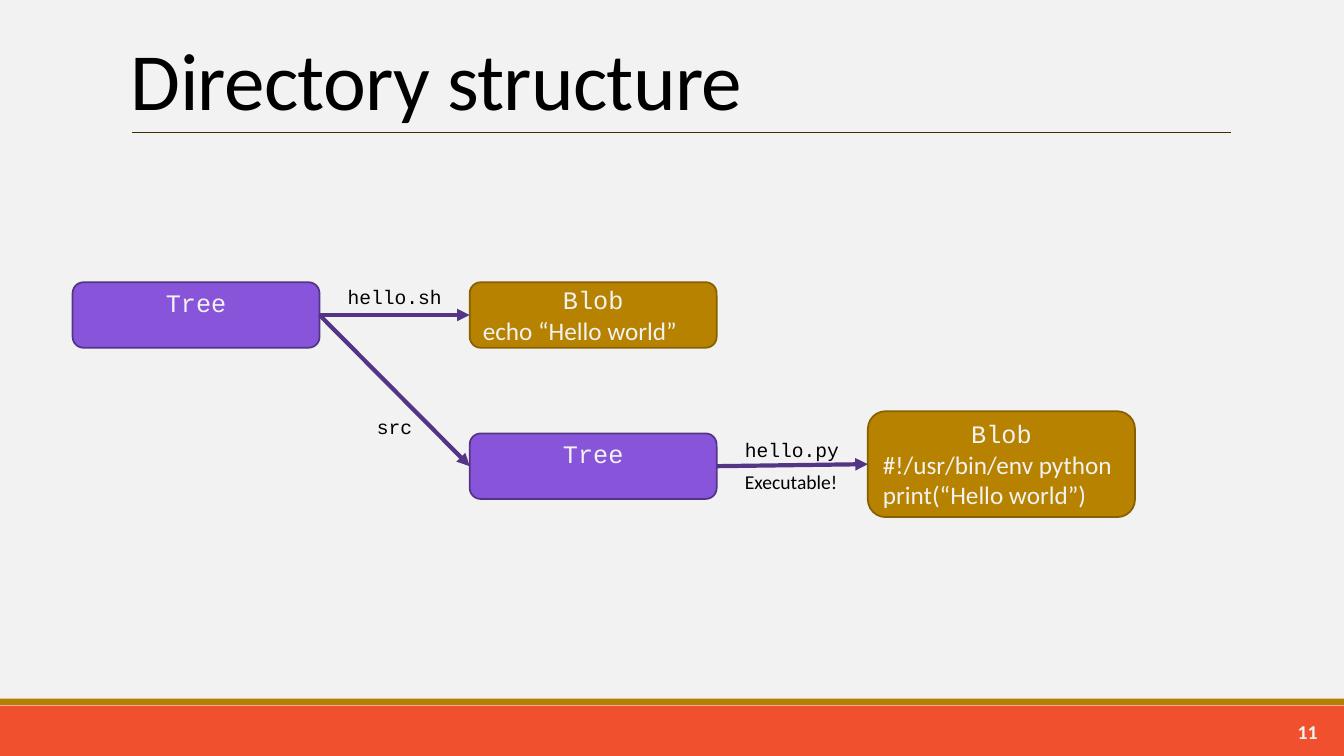
from dataclasses import dataclass

from lxml import etree
from pptx import Presentation
from pptx.dml.color import RGBColor
from pptx.enum.shapes import MSO_CONNECTOR, MSO_SHAPE
from pptx.enum.text import MSO_ANCHOR, PP_ALIGN
from pptx.oxml.ns import qn
from pptx.shapes.autoshape import Shape
from pptx.shapes.connector import Connector
from pptx.slide import Slide
from pptx.text.text import _Paragraph
from pptx.util import Pt

RECTANGLE, ROUNDED = MSO_SHAPE.RECTANGLE, MSO_SHAPE.ROUNDED_RECTANGLE
STRAIGHT = MSO_CONNECTOR.STRAIGHT
TOP, MIDDLE, BOTTOM = MSO_ANCHOR.TOP, MSO_ANCHOR.MIDDLE, MSO_ANCHOR.BOTTOM
LEFT, CENTER, RIGHT = PP_ALIGN.LEFT, PP_ALIGN.CENTER, PP_ALIGN.RIGHT
LEFT_SIDE, RIGHT_SIDE = 1, 3


@dataclass(frozen=True)
class Theme:
    background: str = "F2F2F2"
    light: str = "F2F2F2"
    dark: str = "000000"
    footer: str = "F1502F"
    footer_edge: str = "B27F00"
    title_rule: str = "3E2C00"
    tree_fill: str = "8854DA"
    tree_line: str = "543585"
    blob_fill: str = "B68200"
    blob_line: str = "876000"
    body_font: str = "Calibri"
    code_font: str = "Courier New"
    title_size: float = 58
    node_size: float = 18
    label_size: float = 14


@dataclass(frozen=True)
class Box:
    left: float
    top: float
    width: float
    height: float

    def lengths(self) -> tuple[Pt, Pt, Pt, Pt]:
        return Pt(self.left), Pt(self.top), Pt(self.width), Pt(self.height)


@dataclass(frozen=True)
class Node:
    kind: str
    box: Box
    content: tuple[str, ...] = ()


@dataclass(frozen=True)
class Edge:
    parent: str
    child: str


@dataclass(frozen=True)
class Label:
    text: str
    left: float
    top: float
    font: str


THEME = Theme()
SLIDE_WIDTH, SLIDE_HEIGHT = 960, 540
COLUMNS = (51.84, 335.52, 619.92)
UPPER_ROW, LOWER_ROW = 201.6, 309.6
NODE_WIDTH, NODE_HEIGHT = 176.4, 46.8

NODES = {
    "root": Node("Tree", Box(COLUMNS[0], UPPER_ROW, NODE_WIDTH, NODE_HEIGHT)),
    "hello.sh": Node("Blob", Box(COLUMNS[1], UPPER_ROW, NODE_WIDTH, NODE_HEIGHT),
                     ("echo “Hello world”",)),
    "src": Node("Tree", Box(COLUMNS[1], LOWER_ROW, NODE_WIDTH, NODE_HEIGHT)),
    "hello.py": Node("Blob", Box(COLUMNS[2], 293.76, 190.8, 75.6),
                     ("#!/usr/bin/env python", "print(“Hello world”)")),
}
EDGES = (Edge("root", "hello.sh"), Edge("root", "src"), Edge("src", "hello.py"))
LABELS = (
    Label("hello.sh", 241.2, 200.16, THEME.code_font),
    Label("src", 262.08, 293.04, THEME.code_font),
    Label("hello.py", 524.88, 309.6, THEME.code_font),
    Label("Executable!", 524.88, 331.92, THEME.body_font),
)


def rgb(color: str) -> RGBColor:
    return RGBColor.from_string(color)


def style(paragraph: _Paragraph, font: str, size: float, color: str,
          align: PP_ALIGN = LEFT) -> None:
    paragraph.alignment = align
    paragraph.font.name = font
    paragraph.font.size = Pt(size)
    paragraph.font.color.rgb = rgb(color)


def add_text(slide: Slide, text: str, box: Box, font: str, size: float, color: str,
             align: PP_ALIGN = LEFT, anchor: MSO_ANCHOR = TOP, wrap: bool = True) -> _Paragraph:
    frame = slide.shapes.add_textbox(*box.lengths()).text_frame
    frame.word_wrap = wrap
    frame.vertical_anchor = anchor
    paragraph = frame.paragraphs[0]
    paragraph.text = text
    style(paragraph, font, size, color, align)
    return paragraph


def add_band(slide: Slide, box: Box, color: str) -> None:
    band = slide.shapes.add_shape(RECTANGLE, *box.lengths())
    band.shadow.inherit = False
    band.fill.solid()
    band.fill.fore_color.rgb = rgb(color)
    band.line.fill.background()


def add_line(slide: Slide, start: tuple[float, float], end: tuple[float, float],
             color: str, width: float) -> Connector:
    line = slide.shapes.add_connector(STRAIGHT, *map(Pt, start + end))
    line.line.color.rgb = rgb(color)
    line.line.width = Pt(width)
    etree.SubElement(line._element.spPr, qn("a:effectLst"))
    return line


def add_node(slide: Slide, node: Node) -> Shape:
    is_tree = node.kind == "Tree"
    shape = slide.shapes.add_shape(ROUNDED, *node.box.lengths())
    shape.shadow.inherit = False
    shape.fill.solid()
    shape.fill.fore_color.rgb = rgb(THEME.tree_fill if is_tree else THEME.blob_fill)
    shape.line.color.rgb = rgb(THEME.tree_line if is_tree else THEME.blob_line)
    shape.line.width = Pt(1.25)
    frame = shape.text_frame
    frame.word_wrap = True
    frame.vertical_anchor = TOP if is_tree else MIDDLE
    if is_tree:
        frame.margin_top = Pt(1)
    heading = frame.paragraphs[0]
    heading.text = node.kind
    style(heading, THEME.code_font, THEME.node_size, THEME.light, CENTER)
    for line in node.content:
        paragraph = frame.add_paragraph()
        paragraph.text = line
        style(paragraph, THEME.body_font, THEME.node_size, THEME.light)
    return shape


def add_arrow(slide: Slide, parent: Shape, child: Shape) -> None:
    """Join the parent's right side to the child's left side."""
    arrow = add_line(slide, (0, 0), (0, 0), THEME.tree_line, 3)
    arrow.begin_connect(parent, RIGHT_SIDE)
    arrow.end_connect(child, LEFT_SIDE)
    etree.SubElement(arrow.line._get_or_add_ln(), qn("a:tailEnd"), type="triangle")


def add_frame(slide: Slide) -> None:
    """Draw the background, footer, title and page number."""
    slide.background.fill.solid()
    slide.background.fill.fore_color.rgb = rgb(THEME.background)
    add_band(slide, Box(0, 504, SLIDE_WIDTH, 36), THEME.footer)
    add_band(slide, Box(0, 499, SLIDE_WIDTH, 4.75), THEME.footer_edge)
    add_line(slide, (94.32, 94.32), (879.12, 94.32), THEME.title_rule, 0.5)
    title = add_text(slide, "Directory structure", Box(86.4, 18, 792, 76.32),
                     THEME.body_font, THEME.title_size, THEME.dark, anchor=BOTTOM)
    title.line_spacing = 0.85
    title.runs[0]._r.get_or_add_rPr().set("spc", "-50")
    number = add_text(slide, "11", Box(845.28, 508.32, 102.96, 28.8), THEME.body_font,
                      THEME.label_size, THEME.light, RIGHT, MIDDLE)
    number.font.bold = True


def main() -> None:
    presentation = Presentation()
    presentation.slide_width, presentation.slide_height = Pt(SLIDE_WIDTH), Pt(SLIDE_HEIGHT)
    slide = presentation.slides.add_slide(presentation.slide_layouts[6])
    add_frame(slide)
    shapes = {name: add_node(slide, node) for name, node in NODES.items()}
    for edge in EDGES:
        add_arrow(slide, shapes[edge.parent], shapes[edge.child])
    for label in LABELS:
        add_text(slide, label.text, Box(label.left, label.top, 82.8, 24.48), label.font,
                 THEME.label_size, THEME.dark, wrap=False)
    presentation.save("out.pptx")


if __name__ == "__main__":
    main()
